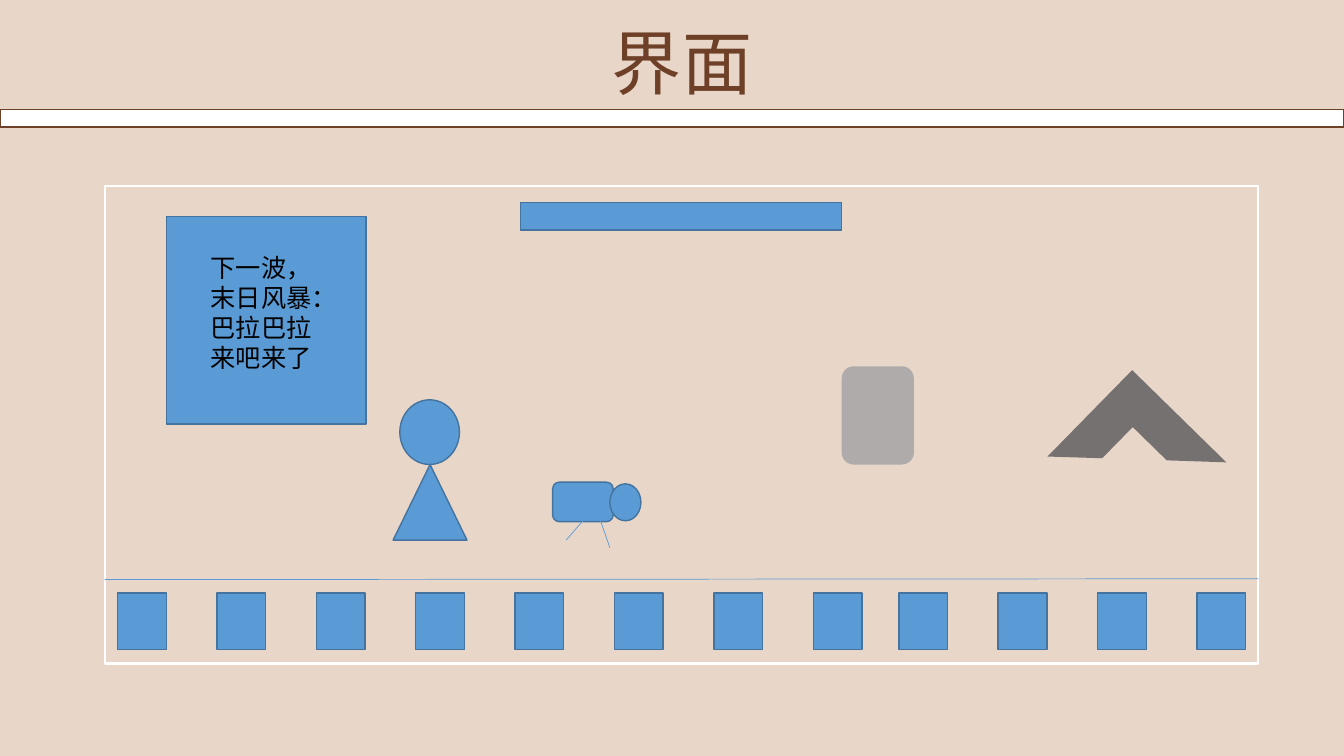
from pptx import Presentation
from pptx.dml.color import RGBColor
from pptx.enum.shapes import MSO_CONNECTOR, MSO_SHAPE
from pptx.enum.text import MSO_AUTO_SIZE, PP_ALIGN
from pptx.oxml.ns import qn
from pptx.util import Inches, Pt
from lxml import etree

RECTANGLE = MSO_SHAPE.RECTANGLE
ROUNDED = MSO_SHAPE.ROUNDED_RECTANGLE
OVAL = MSO_SHAPE.OVAL
TRIANGLE = MSO_SHAPE.ISOSCELES_TRIANGLE
HALF_FRAME = MSO_SHAPE.HALF_FRAME
STRAIGHT = MSO_CONNECTOR.STRAIGHT
FIT_TEXT = MSO_AUTO_SIZE.SHAPE_TO_FIT_TEXT
LEFT, CENTER = PP_ALIGN.LEFT, PP_ALIGN.CENTER

SAND = RGBColor(0xE8, 0xD6, 0xC8)
BROWN = RGBColor(0x6D, 0x40, 0x27)
WHITE = RGBColor(0xFF, 0xFF, 0xFF)
BLACK = RGBColor(0x00, 0x00, 0x00)
BLUE = RGBColor(0x5B, 0x9B, 0xD5)
DARK_BLUE = RGBColor(0x43, 0x73, 0x9E)
LIGHT_GRAY = RGBColor(0xAF, 0xAB, 0xAB)
DARK_GRAY = RGBColor(0x76, 0x71, 0x71)

COLUMNS, ROWS = 160, 90


class SlideBuilder:
    """Draws on one slide; every length is in columns and rows of a 160 by 90 grid."""

    font_name = "Arial"

    def __init__(self, presentation):
        self.column = presentation.slide_width / COLUMNS
        self.row = presentation.slide_height / ROWS
        self.slide = presentation.slides.add_slide(presentation.slide_layouts[6])
        background = self.slide.background.fill
        background.solid()
        background.fore_color.rgb = SAND

    def place(self, column, row):
        return round(column * self.column), round(row * self.row)

    def shape(self, kind, left, top, width, height, fill=BLUE, line=DARK_BLUE,
              line_width=1, group=None):
        """Add a preset shape; None for fill or line leaves that part out."""
        shapes = (group or self.slide).shapes
        shape = shapes.add_shape(kind, *self.place(left, top), *self.place(width, height))
        shape.shadow.inherit = False
        if fill is None:
            shape.fill.background()
        else:
            shape.fill.solid()
            shape.fill.fore_color.rgb = fill
        if line is None:
            shape.line.fill.background()
        else:
            shape.line.color.rgb = line
            shape.line.width = Pt(line_width)
        return shape

    def group(self):
        return self.slide.shapes.add_group_shape()

    def line(self, start, end):
        connector = self.slide.shapes.add_connector(
            STRAIGHT, *self.place(*start), *self.place(*end))
        connector.line.color.rgb = BLUE
        connector.line.width = Pt(0.5)
        etree.SubElement(connector._element.spPr, qn("a:effectLst"))

    def text(self, words, left, top, width, height, size, color, alignment=LEFT):
        box = self.slide.shapes.add_textbox(
            *self.place(left, top), *self.place(width, height))
        frame = box.text_frame
        frame.word_wrap = True
        frame.auto_size = FIT_TEXT
        paragraph = frame.paragraphs[0]
        paragraph.alignment = alignment
        run = paragraph.add_run()
        run.text = words
        run.font.name = self.font_name
        run.font.size = Pt(size)
        run.font.color.rgb = color

    def card_row(self, first_left, count):
        """Add equally spaced cards below the ground line."""
        for index in range(count):
            self.shape(RECTANGLE, first_left + index * 11.83, 70.6, 5.8, 6.7)


def main():
    presentation = Presentation()
    presentation.slide_width = Inches(13.33)
    presentation.slide_height = Inches(7.5)
    builder = SlideBuilder(presentation)

    # Heading
    builder.shape(RECTANGLE, 0, 13, COLUMNS, 2.1, WHITE, BROWN)
    builder.text("界面", 67.2, 1.7, 28, 11.3, 50, BROWN, CENTER)

    # Game screen and progress bar
    builder.shape(RECTANGLE, 12.5, 22.1, 137.3, 56.9, None, WHITE, 1.5)
    builder.shape(RECTANGLE, 62, 24.1, 38.2, 3.3)

    # Player
    player = builder.group()
    builder.shape(OVAL, 47.6, 47.6, 7.1, 7.7, group=player)
    builder.shape(TRIANGLE, 46.8, 55.3, 8.8, 9, group=player)

    # Cannon
    builder.shape(ROUNDED, 65.8, 57.4, 7.2, 4.7)
    builder.shape(OVAL, 72.6, 57.6, 3.7, 4.4)
    builder.line((69.4, 62), (67.4, 64.3))
    builder.line((71.5, 62), (72.6, 65.2))

    # Announcement
    builder.shape(RECTANGLE, 19.8, 25.8, 23.8, 24.7)
    builder.text("下一波，末日风暴：巴拉巴拉来吧来了", 23.9, 29.4, 15.4, 15.7, 18, BLACK)

    # Ground and cards
    builder.line((12.5, 69), (149.8, 68.9))
    builder.card_row(14, 8)
    builder.card_row(107, 4)

    # Obstacles
    builder.shape(ROUNDED, 100.2, 43.6, 8.6, 11.7, LIGHT_GRAY, None)
    roof = builder.shape(HALF_FRAME, 127.5, 47.5, 15.7, 14.4, DARK_GRAY, None)
    roof.rotation = 44.4

    presentation.save("out.pptx")


if __name__ == "__main__":
    main()
